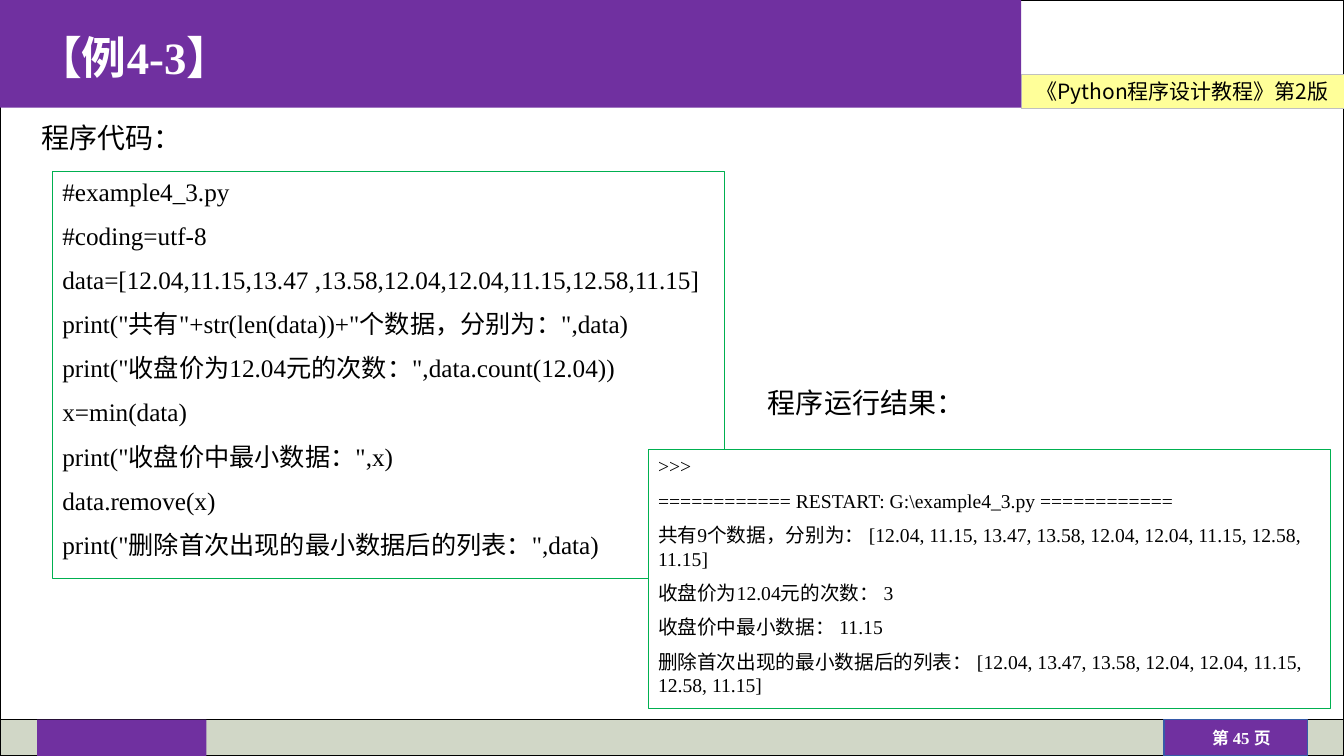
from pptx import Presentation
from pptx.dml.color import RGBColor
from pptx.enum.shapes import MSO_SHAPE
from pptx.enum.text import MSO_ANCHOR, MSO_AUTO_SIZE, PP_ALIGN
from pptx.oxml.ns import qn
from pptx.util import Pt
from lxml.etree import SubElement

PURPLE = RGBColor(0x70, 0x30, 0xA0)
SAGE = RGBColor(0xD1, 0xD7, 0xC7)
YELLOW = RGBColor(0xFF, 0xFF, 0x99)
SILVER = RGBColor(0xC0, 0xC0, 0xC0)
BLUE = RGBColor(0x36, 0x5A, 0xA8)
GREEN = RGBColor(0x00, 0xB0, 0x50)
BLACK = RGBColor(0, 0, 0)
WHITE = RGBColor(0xFF, 0xFF, 0xFF)

LATIN_FONT = "Times New Roman"
CHINESE_FONT = "Noto Sans CJK SC"

SLIDE_WIDTH, SLIDE_HEIGHT = 960, 540
BANNER_WIDTH, BANNER_HEIGHT = 729.4, 77
FOOTER_TOP, FOOTER_HEIGHT = 514, 26

CODE = """#example4_3.py
#coding=utf-8
data=[12.04,11.15,13.47 ,13.58,12.04,12.04,11.15,12.58,11.15]
print("共有"+str(len(data))+"个数据，分别为：",data)
print("收盘价为12.04元的次数：",data.count(12.04))
x=min(data)
print("收盘价中最小数据：",x)
data.remove(x)
print("删除首次出现的最小数据后的列表：",data)"""

RESULT = r""">>>
============ RESTART: G:\example4_3.py ============
共有9个数据，分别为： [12.04, 11.15, 13.47, 13.58, 12.04, 12.04, 11.15, 12.58, 11.15]
收盘价为12.04元的次数： 3
收盘价中最小数据： 11.15
删除首次出现的最小数据后的列表： [12.04, 13.47, 13.58, 12.04, 12.04, 11.15, 12.58, 11.15]"""


def write_text(shape, text, size, color=BLACK, font=LATIN_FONT, bold=False,
               align=PP_ALIGN.LEFT, anchor=MSO_ANCHOR.TOP, insets=(7.2, 3.6),
               wrap=True, space_before=0, line_spacing=1.0):
    """Fill a shape with one paragraph per line of text."""
    frame = shape.text_frame
    frame.text = text
    frame.word_wrap = wrap
    frame.auto_size = MSO_AUTO_SIZE.NONE
    frame.vertical_anchor = anchor
    frame.margin_left = frame.margin_right = Pt(insets[0])
    frame.margin_top = frame.margin_bottom = Pt(insets[1])
    for paragraph in frame.paragraphs:
        paragraph.alignment = align
        paragraph.space_before = Pt(space_before)
        paragraph.line_spacing = line_spacing
        for run in paragraph.runs:
            run.font.size = Pt(size)
            run.font.bold = bold
            run.font.name = font
            run.font.color.rgb = color
            east_asian = SubElement(run.font._element, qn("a:ea"))
            east_asian.set("typeface", CHINESE_FONT)


def add_box(slide, left, top, width, height, fill=None, line=None, line_width=1):
    shape = slide.shapes.add_shape(
        MSO_SHAPE.RECTANGLE, Pt(left), Pt(top), Pt(width), Pt(height))
    shape.shadow.inherit = False
    if fill is None:
        shape.fill.background()
    else:
        shape.fill.solid()
        shape.fill.fore_color.rgb = fill
    if line is None:
        shape.line.fill.background()
    else:
        shape.line.color.rgb = line
        shape.line.width = Pt(line_width)
    return shape


def add_label(slide, left, top, width, height, text, size, **text_format):
    label = slide.shapes.add_textbox(Pt(left), Pt(top), Pt(width), Pt(height))
    write_text(label, text, size, align=PP_ALIGN.CENTER, wrap=False, **text_format)


def add_listing(slide, left, top, width, height, text, size, fill=None):
    box = add_box(slide, left, top, width, height, fill, GREEN, 0.75)
    write_text(box, text, size, space_before=round(size * 0.55, 1))


def add_frame(slide):
    # Page outline and footer
    add_box(slide, 0, 0, SLIDE_WIDTH, SLIDE_HEIGHT, line=BLACK)
    add_box(slide, 0, FOOTER_TOP, SLIDE_WIDTH, FOOTER_HEIGHT, SAGE, BLACK)
    add_box(slide, 26.5, FOOTER_TOP, 121, FOOTER_HEIGHT, PURPLE)
    add_box(slide, 831.5, FOOTER_TOP, 102.5, FOOTER_HEIGHT, PURPLE, BLUE)
    add_label(slide, 839.5, 519, 94.5, 16, "第 45 页", 12, color=WHITE, bold=True,
              anchor=MSO_ANCHOR.MIDDLE, insets=(4.3, 0.7))

    # Book name and banner
    book = add_box(slide, BANNER_WIDTH, 53, SLIDE_WIDTH - BANNER_WIDTH, 24.5,
                   YELLOW, SILVER, 0.5)
    write_text(book, "《Python程序设计教程》第2版", 15, font=CHINESE_FONT,
               align=PP_ALIGN.CENTER, anchor=MSO_ANCHOR.MIDDLE,
               insets=(3.6, 2.9), wrap=False)
    add_box(slide, 0, 0, BANNER_WIDTH, BANNER_HEIGHT, PURPLE)


def place_title(slide, text):
    title = slide.shapes.title
    title.left, title.top = Pt(26.5), Pt(0)
    title.width, title.height = Pt(703), Pt(BANNER_HEIGHT)
    write_text(title, text, 32, color=WHITE, bold=True,
               anchor=MSO_ANCHOR.MIDDLE, insets=(0, 0), line_spacing=1.1)
    # Bring the title in front of the banner
    slide.shapes._spTree.append(title._element)


def main():
    presentation = Presentation()
    presentation.slide_width = Pt(SLIDE_WIDTH)
    presentation.slide_height = Pt(SLIDE_HEIGHT)
    slide = presentation.slides.add_slide(presentation.slide_layouts[5])

    add_frame(slide)
    place_title(slide, "【例4-3】")

    # Program code and its output
    add_listing(slide, 37.5, 122.4, 480, 291, CODE, 18)
    add_label(slide, 22.3, 82.8, 115, 31.5, "程序代码：", 20)
    add_label(slide, 540.7, 272, 156, 31.5, "程序运行结果：", 20)
    add_listing(slide, 463, 321, 487.5, 185, RESULT, 14, fill=WHITE)

    presentation.save("out.pptx")


if __name__ == "__main__":
    main()
